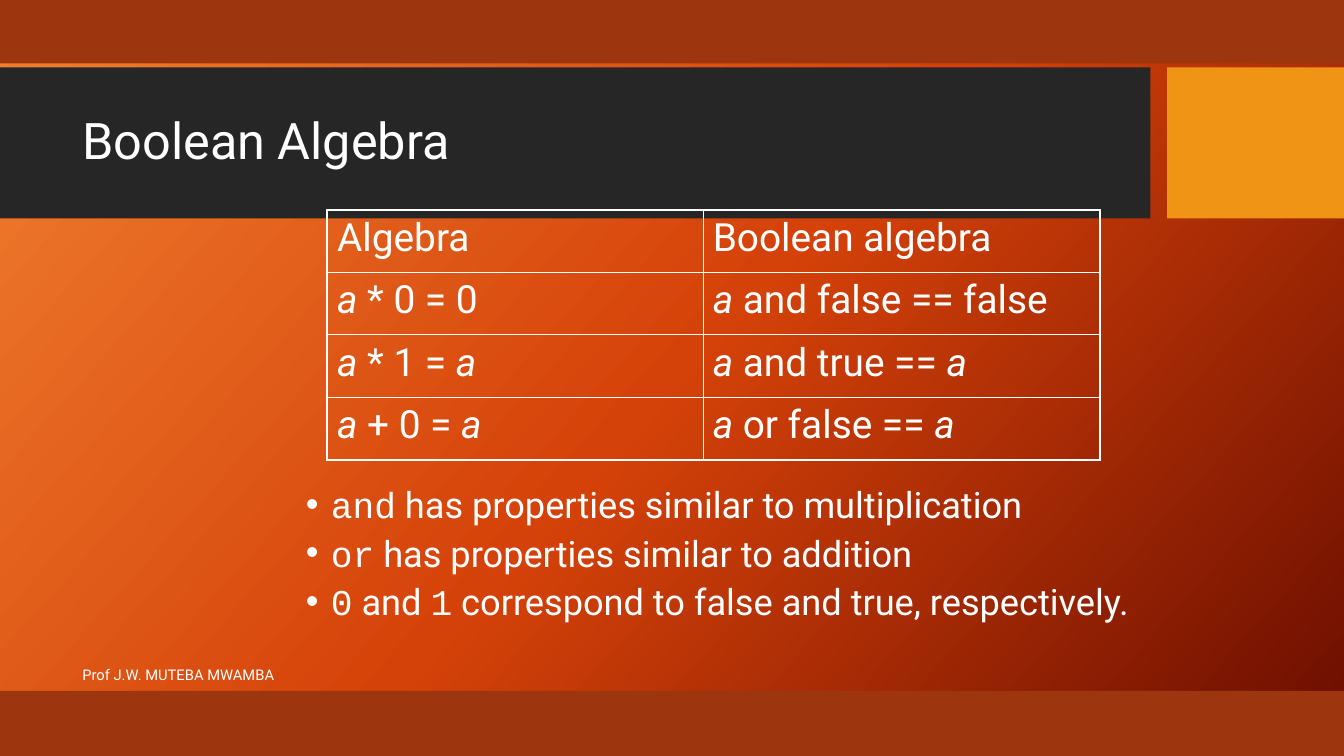
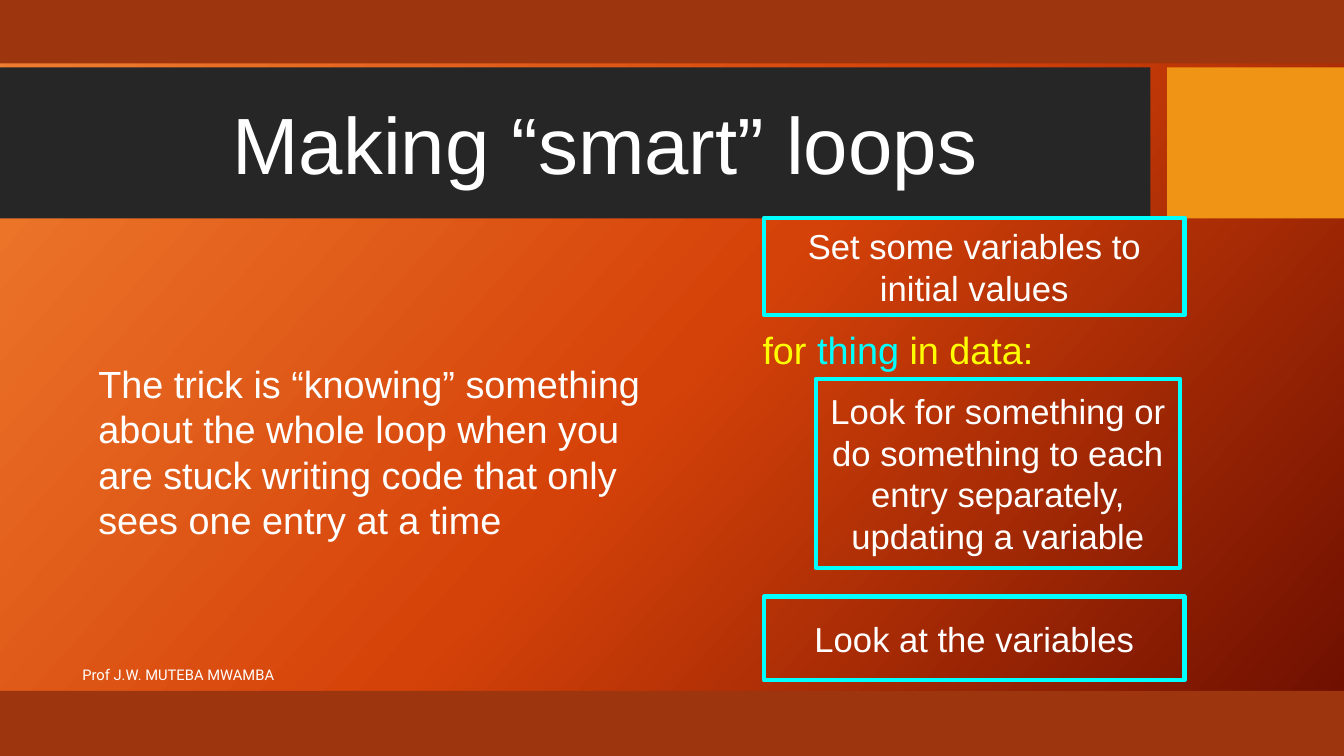
from copy import deepcopy

from lxml.etree import SubElement
from pptx import Presentation
from pptx.dml.color import RGBColor
from pptx.enum.shapes import MSO_SHAPE as Shape
from pptx.enum.text import MSO_ANCHOR as Anchor, PP_ALIGN as Align
from pptx.oxml.ns import qn
from pptx.util import Inches, Pt

WHITE = RGBColor(0xFF, 0xFF, 0xFF)
CYAN = RGBColor(0x00, 0xFF, 0xFF)
YELLOW = RGBColor(0xFF, 0xFF, 0x00)
RUST = RGBColor(0x9D, 0x36, 0x0E)
CHARCOAL = RGBColor(0x26, 0x26, 0x26)
AMBER = RGBColor(0xF0, 0x94, 0x15)
GLOW = (
    (0, RGBColor(0xF1, 0x80, 0x31)),
    (0.5, RGBColor(0xD5, 0x42, 0x09)),
    (1, RGBColor(0x6A, 0x0D, 0x00)),
)
BANDS = (
    ((0, 0, 17.78, 0.84), RUST),
    ((0, 9.14, 17.78, 0.86), RUST),
    ((0, 0.89, 15.22, 2), CHARCOAL),
    ((15.44, 0.89, 2.34, 2), AMBER),
)
TITLE_AREA = (0.99, 1.1, 14.02, 1.58)
FOOTER_AREA = (0.99, 8.66, 10.02, 0.53)
FOOTER = "Prof J.W. MUTEBA MWAMBA"
CELL_MARGINS = (0.13, 0.07, 0.13, 0.07)
THIN, THICK = Pt(1), Pt(2.25)


class Deck:
    """Hold the shared style and the current slide, and draw each kind of element."""

    def __init__(self):
        self.show = Presentation()
        self.show.slide_width = Inches(17.78)
        self.show.slide_height = Inches(10)
        self.slide = None

    def new_slide(self):
        self.slide = self.show.slides.add_slide(self.show.slide_layouts[6])
        glow = self.slide.background.fill
        glow.gradient()
        glow.gradient_angle = 360 - 42
        stops = self.slide._element.find(".//" + qn("a:gsLst"))
        stops.append(deepcopy(stops[0]))
        for stop, (position, color) in zip(glow.gradient_stops, GLOW):
            stop.position = position
            stop.color.rgb = color
        for area, color in BANDS:
            self.box(area, fill=color)

    def box(self, area, fill=None, line=None):
        box = self.slide.shapes.add_shape(Shape.RECTANGLE, *map(Inches, area))
        box.shadow.inherit = False
        if fill is None:
            box.fill.background()
        else:
            box.fill.solid()
            box.fill.fore_color.rgb = fill
        if line is None:
            box.line.fill.background()
        else:
            box.line.color.rgb = line
            box.line.width = Pt(4)
        return box

    def add_runs(self, paragraph, marked, font, size, color=WHITE, accent=None, **layout):
        """Fill a paragraph; parts between underscores take the accent format."""
        for key, value in layout.items():
            setattr(paragraph, key, value)
        for index, part in enumerate(marked.split("_")):
            if not part:
                continue
            run = paragraph.add_run()
            run.text = part
            style = {"name": font, "size": Pt(size), "color": color}
            if index % 2:
                style.update(accent)
            run.font.color.rgb = style.pop("color")
            for key, value in style.items():
                setattr(run.font, key, value)

    def frame(self, holder, anchor=Anchor.MIDDLE, inset=None):
        frame = holder.text_frame
        frame.word_wrap = True
        frame.vertical_anchor = anchor
        if inset is not None:
            for side in ("left", "top", "right", "bottom"):
                setattr(frame, f"margin_{side}", Inches(inset))
        return frame

    def text(self, area, marked, font, size, inset=None, **style):
        holder = self.slide.shapes.add_textbox(*map(Inches, area))
        self.add_runs(self.frame(holder, inset=inset).paragraphs[0], marked, font, size, **style)

    def step(self, area, label):
        frame = self.frame(self.box(area, line=CYAN), inset=0)
        self.add_runs(frame.paragraphs[0], label, "Arial", 33, alignment=Align.CENTER)

    def bullets(self, area, points, font, size, accent):
        holder = self.slide.shapes.add_textbox(*map(Inches, area))
        frame = self.frame(holder, Anchor.TOP)
        for index, point in enumerate(points):
            paragraph = frame.add_paragraph() if index else frame.paragraphs[0]
            self.add_runs(paragraph, point, font, size, accent=accent,
                          line_spacing=0.8, space_before=Pt(13.3))
            properties = paragraph._p.get_or_add_pPr()
            properties.set("marL", str(Inches(0.33)))
            properties.set("indent", str(-Inches(0.33)))
            SubElement(properties, qn("a:buFont"), typeface="Arial")
            SubElement(properties, qn("a:buChar"), char="•")

    def border(self, cell, widths):
        properties = cell._tc.get_or_add_tcPr()
        for side, width in widths.items():
            line = SubElement(properties, qn(f"a:ln{side}"), w=str(width))
            fill = SubElement(line, qn("a:solidFill"))
            SubElement(fill, qn("a:srgbClr"), val=str(WHITE))

    def table(self, area, columns, rows, font, size, accent):
        grid = self.slide.shapes.add_table(len(rows), len(columns), *map(Inches, area)).table
        grid.first_row = grid.horz_banding = False
        for column, width in zip(grid.columns, columns):
            column.width = Inches(width)
        last_row, last_column = len(rows) - 1, len(columns) - 1
        for r, row in enumerate(rows):
            for c, marked in enumerate(row):
                cell = grid.cell(r, c)
                for side, margin in zip(("left", "top", "right", "bottom"), CELL_MARGINS):
                    setattr(cell, f"margin_{side}", Inches(margin))
                outer = {"L": c == 0, "R": c == last_column, "T": r == 0, "B": r == last_row}
                self.border(cell, {s: THICK if edge else THIN for s, edge in outer.items()})
                cell.fill.background()
                self.add_runs(cell.text_frame.paragraphs[0], marked, font, size, accent=accent)

    def footer(self):
        self.text(FOOTER_AREA, FOOTER, "Roboto", 14)


def boolean_algebra(deck):
    deck.new_slide()
    deck.text(TITLE_AREA, "Boolean Algebra", "Roboto", 48, line_spacing=0.9)
    properties = (
        "_and_ has properties similar to multiplication",
        "_or_ has properties similar to addition",
        "_0_ and _1_ correspond to false and true, respectively.",
    )
    deck.bullets((3.95, 6.44, 11.33, 2.5), properties, "Roboto", 34.5, {"name": "Courier New"})
    laws = (
        ("Algebra", "Boolean algebra"),
        ("_a_ * 0 = 0", "_a_ and false == false"),
        ("_a_ * 1 = _a_", "_a_ and true == _a_"),
        ("_a_ + 0 = _a_", "_a_ or false == _a_"),
    )
    deck.table((4.33, 2.78, 10.22, 3.3), (4.97, 5.25), laws, "Roboto", 37, {"italic": True})
    deck.footer()


def smart_loops(deck):
    deck.new_slide()
    deck.text(TITLE_AREA, "Making “smart” loops", "Arial", 76, inset=0.04,
              alignment=Align.CENTER)
    deck.text((1.26, 2.85, 7.49, 6.24),
              "The trick is “knowing” something about the whole loop when you are "
              "stuck writing code that only sees one entry at a time",
              "Arial", 36, inset=0.04)
    deck.step((10.11, 2.88, 5.56, 1.29), "Set some variables to initial values")
    deck.step((10.79, 5.01, 4.82, 2.5),
              "Look for something or do something to each entry separately, updating a variable")
    deck.text((10.02, 4.28, 3.72, 0.68), "for _thing_ in data:", "Arial", 36, inset=0,
              color=YELLOW, accent={"color": CYAN}, alignment=Align.CENTER)
    deck.step((10.11, 7.89, 5.56, 1.11), "Look at the variables")
    deck.footer()


def main():
    deck = Deck()
    boolean_algebra(deck)
    smart_loops(deck)
    deck.show.save("out.pptx")


if __name__ == "__main__":
    main()
